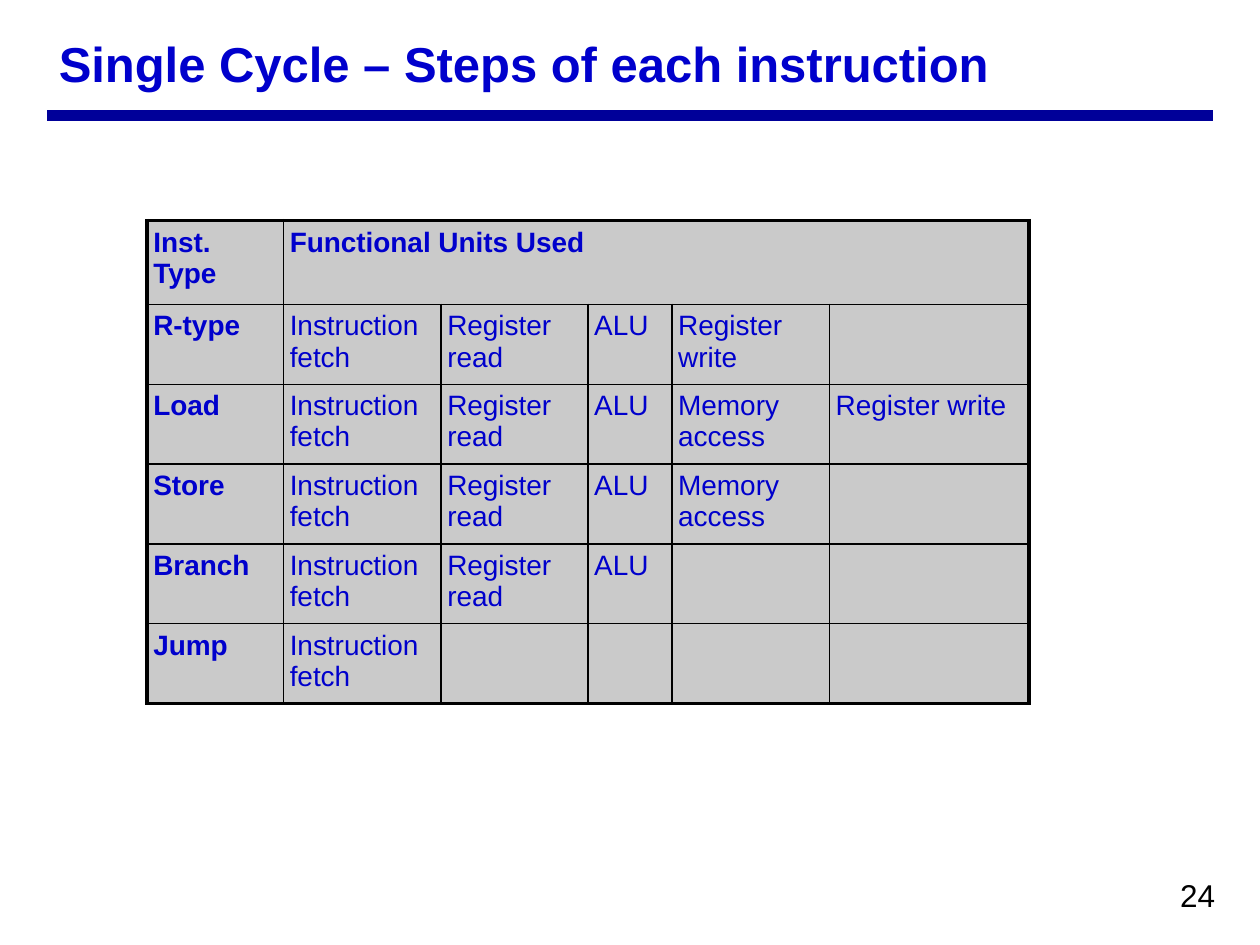
"""Build the slide listing the functional units used by each single-cycle instruction type."""
from pptx import Presentation
from pptx.dml.color import RGBColor
from pptx.enum.shapes import MSO_CONNECTOR
from pptx.enum.text import MSO_ANCHOR, MSO_AUTO_SIZE, PP_ALIGN
from pptx.oxml.ns import qn
from pptx.util import Inches, Pt
from lxml import etree

STRAIGHT = MSO_CONNECTOR.STRAIGHT
TOP, MIDDLE, LEFT = MSO_ANCHOR.TOP, MSO_ANCHOR.MIDDLE, PP_ALIGN.LEFT
FIT_SHAPE, FIT_NONE = MSO_AUTO_SIZE.SHAPE_TO_FIT_TEXT, MSO_AUTO_SIZE.NONE
NAVY = RGBColor(0x00, 0x00, 0x99)
BLUE = RGBColor(0x00, 0x00, 0xCC)
GRAY = RGBColor(0xCA, 0xCA, 0xCA)
BLACK = RGBColor(0x00, 0x00, 0x00)
THIN, THICK = Pt(1), Pt(2.25)
PAD = Inches(0.05)


def grid(*units):
    return [round(Inches(1) * unit / 12) for unit in units]


def write(paragraph, text, size, color, bold=False):
    paragraph.alignment = LEFT
    run = paragraph.add_run()
    run.text = text
    run.font.name = "Arial"
    run.font.size = Pt(size)
    run.font.bold = bold
    run.font.color.rgb = color


deck = Presentation()
deck.slide_width, deck.slide_height = grid(120, 90)
slide = deck.slides.add_slide(deck.slide_layouts[5])

rule = slide.shapes.add_connector(STRAIGHT, *grid(4.5, 11, 115.5, 11))
rule.line.color.rgb = NAVY
rule.line.width = Pt(6)
etree.SubElement(rule._element.spPr, qn("a:effectLst"))

page_number = slide.shapes.add_textbox(*grid(111.8, 82.8, 4.7, 4.6))
title = slide.shapes.title
title.left, title.top, title.width, title.height = grid(5, 2, 100, 8)

for holder, anchor, fit in ((page_number, TOP, FIT_SHAPE), (title, MIDDLE, FIT_NONE)):
    frame = holder.text_frame
    frame.margin_left = frame.margin_right = PAD
    frame.margin_top = frame.margin_bottom = PAD
    frame.vertical_anchor = anchor
    frame.auto_size = fit
    frame.word_wrap = True

write(page_number.text_frame.paragraphs[0], "24", 18, BLACK)
write(title.text_frame.paragraphs[0], "Single Cycle – Steps of each instruction", 28, BLUE, True)

FETCH, READ, ALU = "Instruction fetch", "Register read", "ALU"
MEMORY, WRITE = "Memory access", "Register write"
steps = [
    ["Inst. Type", "Functional Units Used"],
    ["R-type", FETCH, READ, ALU, WRITE],
    ["Load", FETCH, READ, ALU, MEMORY, WRITE],
    ["Store", FETCH, READ, ALU, MEMORY],
    ["Branch", FETCH, READ, ALU],
    ["Jump", FETCH],
]
column_units = [13, 15, 14, 8, 15, 19]
row_units = [8] + [7.6] * 5
last_row, last_column = len(row_units) - 1, len(column_units) - 1

table = slide.shapes.add_table(
    len(row_units), len(column_units), *grid(14, 21, sum(column_units), sum(row_units))
).table
for column, width in zip(table.columns, grid(*column_units)):
    column.width = width
for row, height in zip(table.rows, grid(*row_units)):
    row.height = height
table.cell(0, 1).merge(table.cell(0, last_column))

for r, names in enumerate(steps):
    for c in range(len(column_units)):
        cell = table.cell(r, c)
        cell.margin_left = cell.margin_right = PAD
        cell.margin_top = cell.margin_bottom = PAD
        reaches_right = c == last_column or cell.is_merge_origin
        outer_edges = {"L": c == 0, "R": reaches_right, "T": r == 0, "B": r == last_row}
        for side, outer in outer_edges.items():
            border = etree.SubElement(
                cell._tc.get_or_add_tcPr(), qn(f"a:ln{side}"), w=str(THICK if outer else THIN)
            )
            ink = etree.SubElement(border, qn("a:solidFill"))
            etree.SubElement(ink, qn("a:srgbClr"), val=str(BLACK))
        cell.fill.solid()
        cell.fill.fore_color.rgb = GRAY
        if c < len(names):
            write(cell.text_frame.paragraphs[0], names[c], 16, BLUE, r == 0 or c == 0)

deck.save("out.pptx")
